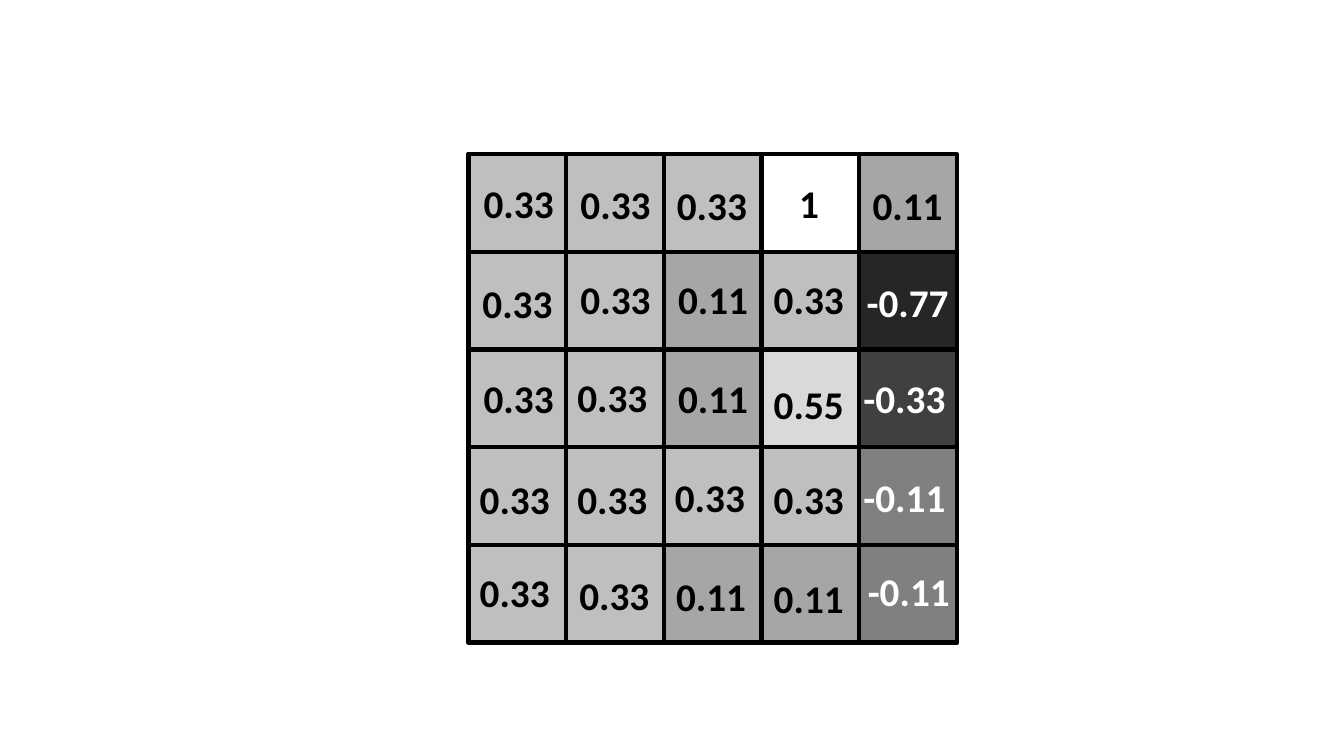
import dataclasses
import pptx
import pptx.dml.color
import pptx.enum.shapes
import pptx.enum.text
import pptx.util

Cm = pptx.util.Cm


@dataclasses.dataclass
class Theme:
    font: str = "Calibri"
    size: int = 28
    line: int = 3
    black: str = "000000"
    white: str = "FFFFFF"
    coal: str = "262626"
    dark: str = "404040"
    mid: str = "808080"
    gray: str = "A6A6A6"
    soft: str = "BFBFBF"
    pale: str = "D9D9D9"


class Board:
    left, top, cell = 11.81, 3.89, 2.46

    def __init__(self, slide, theme):
        self.slide = slide
        self.theme = theme

    def color(self, code):
        return pptx.dml.color.RGBColor.from_string(code)

    def block(self, col, row, wide, high):
        shape = self.slide.shapes.add_shape(
            pptx.enum.shapes.MSO_SHAPE.RECTANGLE,
            Cm(self.left + col * self.cell), Cm(self.top + row * self.cell),
            Cm(wide * self.cell), Cm(high * self.cell))
        shape.shadow.inherit = False
        return shape

    def patch(self, code, *area):
        shape = self.block(*area)
        shape.fill.solid()
        shape.fill.fore_color.rgb = self.color(code)
        shape.line.fill.background()

    def frame(self, *area):
        shape = self.block(*area)
        shape.fill.background()
        shape.line.color.rgb = self.color(self.theme.black)
        shape.line.width = pptx.util.Pt(self.theme.line)

    def label(self, text, left, top):
        box = self.slide.shapes.add_textbox(Cm(left), Cm(top), Cm(3.61), Cm(1.45))
        body = box.text_frame
        body.word_wrap = True
        body.auto_size = pptx.enum.text.MSO_AUTO_SIZE.SHAPE_TO_FIT_TEXT
        run = body.paragraphs[0].add_run()
        run.text = text
        font = run.font
        font.name = self.theme.font
        font.size = pptx.util.Pt(self.theme.size)
        font.bold = True
        light = text.startswith("-")
        font.color.rgb = self.color(self.theme.white if light else self.theme.black)


def main():
    deck = pptx.Presentation()
    deck.slide_width, deck.slide_height = Cm(33.87), Cm(19.05)
    theme = Theme()
    board = Board(deck.slides.add_slide(deck.slide_layouts[6]), theme)

    patches = [
        (theme.coal, 4, 1, 1, 1), (theme.dark, 4, 2, 1, 1),
        (theme.pale, 3, 2, 1, 1), (theme.mid, 4, 3, 1, 2),
        (theme.gray, 4, 0, 1, 1), (theme.gray, 2, 4, 2, 1),
        (theme.soft, 2, 0, 1, 1), (theme.soft, 3, 1, 1, 1),
        (theme.soft, 2, 3, 1, 1), (theme.soft, 3, 3, 1, 1),
        (theme.gray, 2, 1, 1, 2), (theme.soft, 0, 0, 2, 5),
    ]
    for patch in patches:
        board.patch(*patch)

    frames = [
        (0, 0, 4, 1), (0, 0, 4, 4), (3, 0, 1, 4), (2, 0, 1, 5),
        (1, 0, 1, 5), (0, 0, 1, 5), (0, 1, 5, 1), (0, 2, 5, 1),
        (0, 3, 4, 1), (4, 0, 1, 5), (0, 4, 5, 1),
    ]
    for frame in frames:
        board.frame(*frame)

    labels = [
        ("0.33", 11.94, 4.39), ("0.33", 14.38, 4.42), ("0.33", 16.81, 4.45),
        ("1", 19.89, 4.39), ("0.11", 21.74, 4.45),
        ("0.33", 11.91, 6.91), ("0.33", 14.38, 6.81), ("0.11", 16.84, 6.81),
        ("0.33", 19.25, 6.81), ("-0.77", 21.59, 6.88),
        ("0.33", 11.94, 9.3), ("0.33", 14.3, 9.27), ("0.11", 16.84, 9.32),
        ("0.55", 19.25, 9.45), ("-0.33", 21.51, 9.32),
        ("0.33", 11.84, 11.84), ("0.33", 14.3, 11.84), ("0.33", 16.76, 11.79),
        ("0.33", 19.25, 11.84), ("-0.11", 21.51, 11.81),
        ("0.33", 11.84, 14.2), ("0.33", 14.35, 14.27), ("0.11", 16.79, 14.3),
        ("0.11", 19.25, 14.35), ("-0.11", 21.62, 14.17),
    ]
    for label in labels:
        board.label(*label)

    deck.save("out.pptx")


if __name__ == "__main__":
    main()
